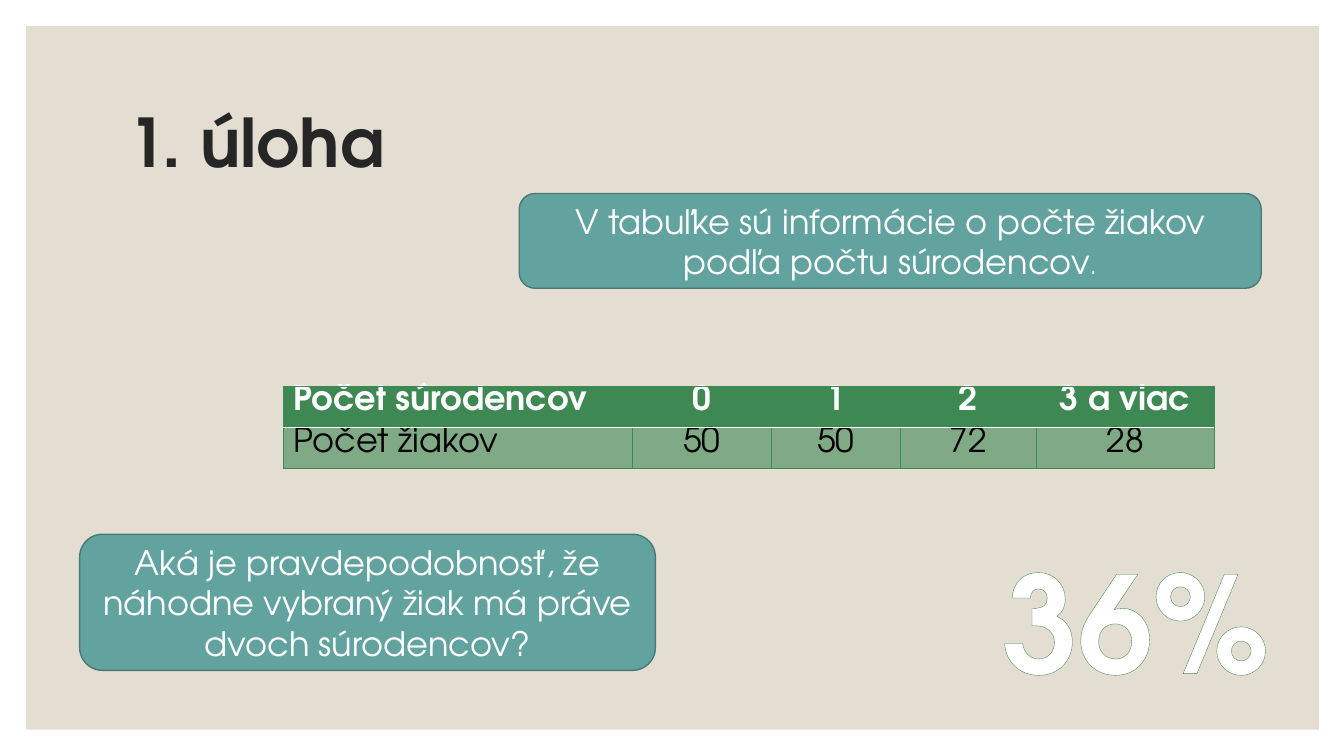
from lxml import etree
from pptx import Presentation
from pptx.dml.color import RGBColor
from pptx.enum import dml, shapes, text
from pptx.oxml import ns
from pptx.util import Inches, Pt

FONT = "TeX Gyre Adventor"
GREEN, WHITE = "3E8853", "FFFFFF"
rgb = RGBColor.from_string


def line(tag, color, width):
    ln = etree.Element(ns.qn(tag), w=str(Pt(width)))
    fill = etree.SubElement(ln, ns.qn("a:solidFill"))
    etree.SubElement(fill, ns.qn("a:srgbClr"), val=color)
    return ln


def write(par, words, size=24, color=WHITE, bold=False, align="CENTER"):
    par.alignment = getattr(text.PP_ALIGN, align)
    run = par.add_run()
    run.text = words
    font = run.font
    font.name, font.size, font.bold = FONT, Pt(size), bold
    font.color.rgb = rgb(color)
    return run


prs = Presentation()
prs.slide_width, prs.slide_height = Inches(13.33), Inches(7.5)
slide = prs.slides.add_slide(prs.slide_layouts[5])

# Title
title = slide.shapes.title
title.left, title.top = Inches(1.17), Inches(0.7)
title.width, title.height = Inches(11), Inches(1.5)
title.text_frame.vertical_anchor = text.MSO_ANCHOR.MIDDLE
par = title.text_frame.paragraphs[0]
par.line_spacing = 0.9
write(par, "1. úloha", size=48, color="262626", bold=True, align="LEFT")

# Backdrop, placed behind the title
panel = slide.shapes.add_shape(
    shapes.MSO_SHAPE.RECTANGLE, Inches(0.26), Inches(0.26), Inches(12.82), Inches(6.98))
panel.shadow.inherit = False
panel.fill.solid()
panel.fill.fore_color.rgb = rgb("E3DED1")
panel.line.fill.background()
title.element.addprevious(panel.element)

# Question and introduction
boxes = [
    ((0.79, 5.3, 5.71, 1.35),
     [("Aká je pravdepodobnosť, že náhodne vybraný žiak má práve dvoch súrodencov?", 24)]),
    ((5.15, 1.92, 7.36, 0.94),
     [("V tabuľke sú informácie o počte žiakov podľa počtu súrodencov", 24), (".", 18)]),
]
for place, parts in boxes:
    box = slide.shapes.add_shape(
        shapes.MSO_SHAPE.ROUNDED_RECTANGLE, *[Inches(n) for n in place])
    box.shadow.inherit = False
    box.fill.solid()
    box.fill.fore_color.rgb = rgb("62A39F")
    box.line.color.rgb = rgb("497976")
    box.line.width = Pt(1)
    frame = box.text_frame
    frame.word_wrap = True
    frame.vertical_anchor = text.MSO_ANCHOR.MIDDLE
    for words, size in parts:
        write(frame.paragraphs[0], words, size=size)

# Table of pupils by number of siblings
rows = [
    ["Počet súrodencov", "0", "1", "2", "3 a viac"],
    ["Počet žiakov", "50", "50", "72", "28"],
]
widths = [3.46, 1.38, 1.28, 1.35, 1.76]
table = slide.shapes.add_table(
    2, 5, Inches(2.81), Inches(3.83), Inches(sum(widths)), Inches(0.82)).table
table.horz_banding = False
for col, width in zip(table.columns, widths):
    col.width = Inches(width)
for r, row in enumerate(rows):
    table.rows[r].height = Inches(0.41)
    head = r == 0
    for c, words in enumerate(row):
        cell = table.cell(r, c)
        cell.margin_top = cell.margin_bottom = 0
        cell.fill.solid()
        cell.fill.fore_color.rgb = rgb(GREEN)
        write(cell.text_frame.paragraphs[0], words, bold=head,
              color=WHITE if head else "000000", align="CENTER" if c else "LEFT")
        props = cell._tc.get_or_add_tcPr()
        if not head:
            tint = props.find(".//" + ns.qn("a:srgbClr"))
            etree.SubElement(tint, ns.qn("a:alpha"), val="60000")
        inner = "a:lnB" if head else "a:lnT"
        for i, tag in enumerate(["a:lnL", "a:lnR", "a:lnT", "a:lnB"]):
            edge = (WHITE, 1) if tag == inner else (GREEN, 0.5)
            props.insert(i, line(tag, *edge))

# Answer
answer = slide.shapes.add_textbox(Inches(9.83), Inches(5.3), Inches(2.87), Inches(1.72))
answer.text_frame.word_wrap = False
answer.text_frame.auto_size = text.MSO_AUTO_SIZE.SHAPE_TO_FIT_TEXT
run = write(answer.text_frame.paragraphs[0], "36%", size=96, bold=True)
fill = run.font.fill
fill.patterned()
fill.pattern = dml.MSO_PATTERN.LIGHT_DOWNWARD_DIAGONAL
fill.fore_color.rgb = rgb("7EC492")
fill.back_color.rgb = rgb(WHITE)
run._r.get_or_add_rPr().insert(0, line("a:ln", GREEN, 1))

prs.save("out.pptx")
